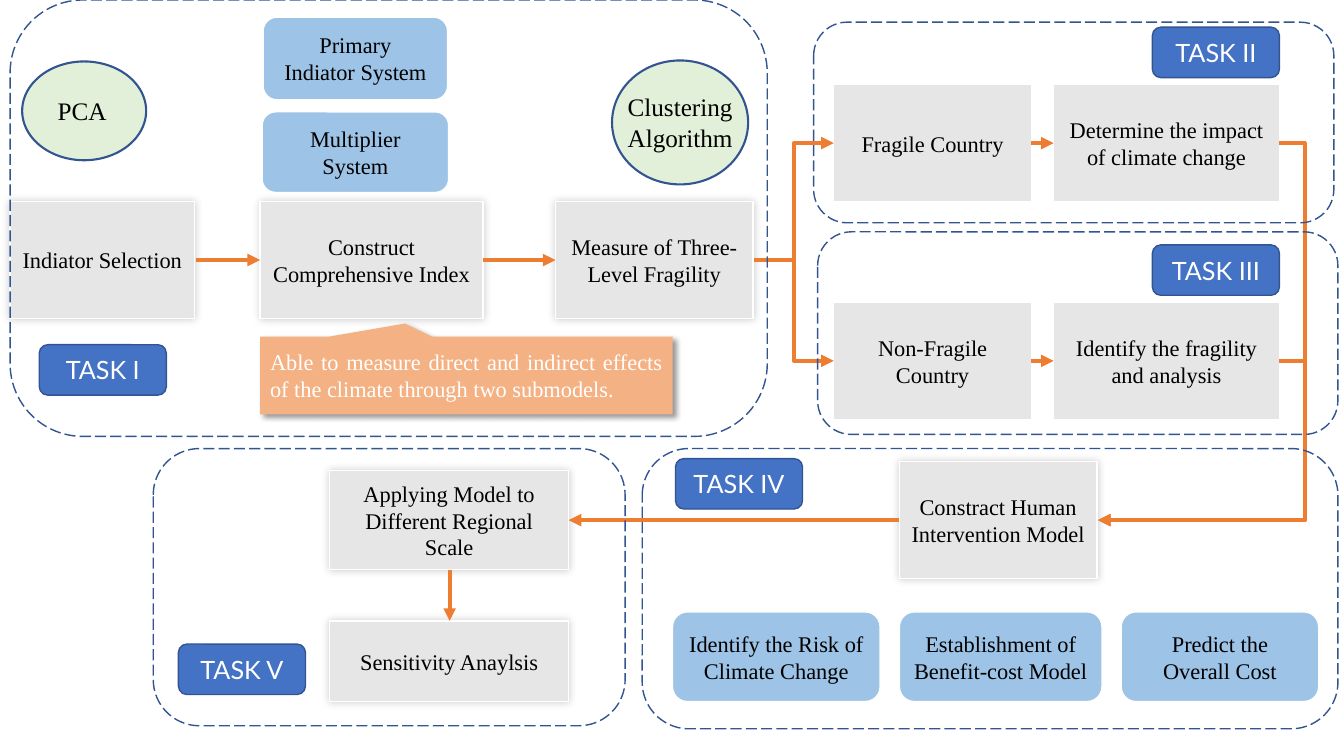
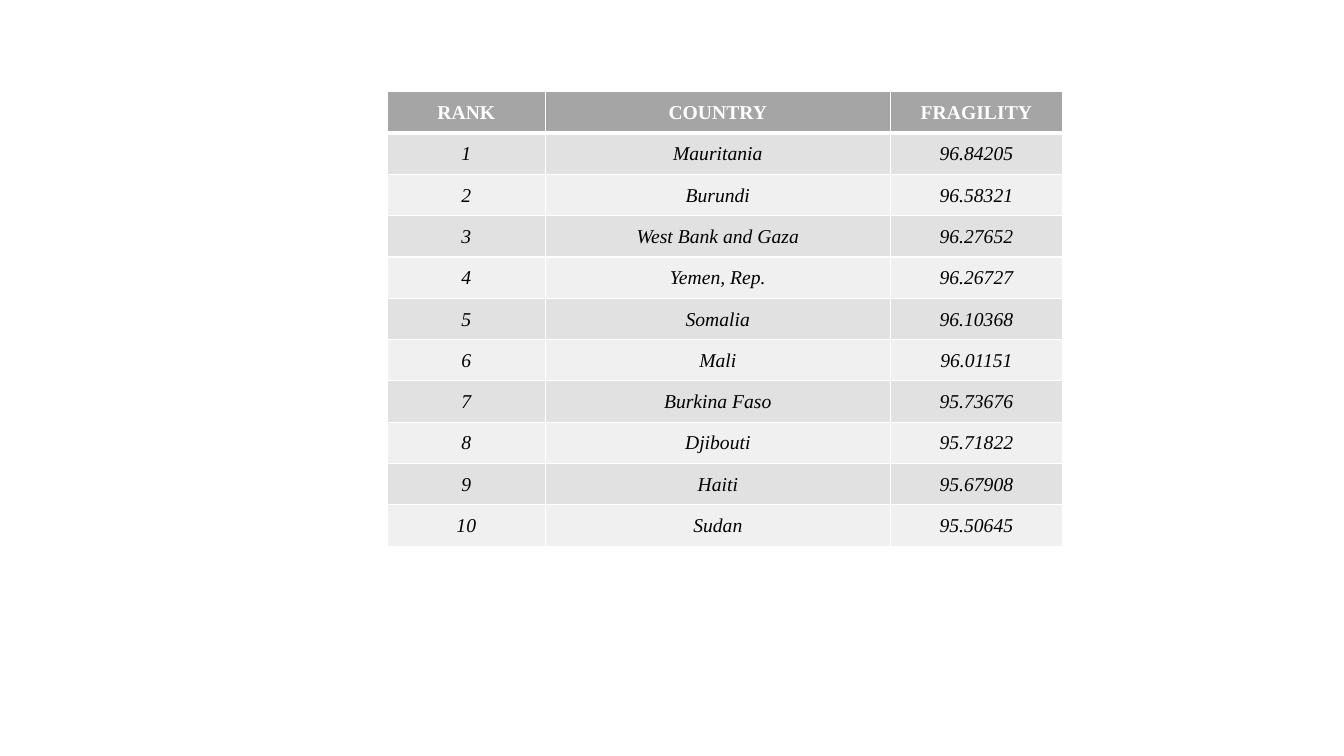
"""Build a five-task model flowchart and a country fragility ranking table."""
from dataclasses import dataclass

from lxml import etree
from pptx import Presentation
from pptx.dml.color import RGBColor
from pptx.enum.dml import MSO_LINE
from pptx.enum.shapes import MSO_CONNECTOR, MSO_SHAPE
from pptx.enum.text import MSO_ANCHOR, MSO_AUTO_SIZE, PP_ALIGN
from pptx.oxml.ns import qn
from pptx.util import Inches, Pt

RECT, ROUND = MSO_SHAPE.RECTANGLE, MSO_SHAPE.ROUNDED_RECTANGLE
OVAL, CALLOUT = MSO_SHAPE.OVAL, MSO_SHAPE.RECTANGULAR_CALLOUT
STRAIGHT, ELBOW = MSO_CONNECTOR.STRAIGHT, MSO_CONNECTOR.ELBOW
CENTER, JUSTIFY = PP_ALIGN.CENTER, PP_ALIGN.JUSTIFY
MIDDLE, GROW, LONG_DASH = MSO_ANCHOR.MIDDLE, MSO_AUTO_SIZE.SHAPE_TO_FIT_TEXT, MSO_LINE.LONG_DASH


@dataclass(frozen=True)
class Theme:
    white: str = "FFFFFF"
    black: str = "000000"
    gray: str = "E7E6E6"
    sky: str = "9DC3E6"
    green: str = "E2F0D9"
    blue: str = "4472C4"
    navy: str = "325491"
    orange: str = "ED7D31"
    peach: str = "F4B183"
    header: str = "A5A5A5"
    bands: tuple = ("F0F0F0", "E1E1E1")
    serif: str = "Times New Roman"
    sans: str = "Lato"
    table_size: int = 14
    body_size: int = 16
    label_size: int = 18


theme = Theme()
body_font = {"name": theme.serif, "size": Pt(theme.body_size)}
label_font = {"name": theme.serif, "size": Pt(theme.label_size)}
task_font = {"name": theme.sans, "size": Pt(theme.label_size)}
header_font = {"name": theme.serif, "size": Pt(theme.table_size), "bold": True, "italic": False}
cell_font = {**header_font, "bold": False, "italic": True}

plain = {"kind": RECT, "fill": theme.gray, "line": theme.white, "font": body_font}
styles = {
    "step": {**plain, "shadow": (20, 6, 0, 315)},
    "plain": plain,
    "part": {**plain, "kind": ROUND, "fill": theme.sky},
    "method": {"kind": OVAL, "fill": theme.green, "line": theme.navy, "width": 1.5},
    "frame": {"kind": ROUND, "line": theme.navy, "dash": LONG_DASH},
    "task": {"kind": ROUND, "fill": theme.blue, "line": theme.navy,
             "font": task_font, "color": theme.white},
    "callout": {"kind": CALLOUT, "fill": theme.peach, "font": body_font, "color": theme.white,
                "align": JUSTIFY, "shadow": (40, 4, 3, 45), "adjust": (-0.149, -0.669)},
}


def write_text(frame, text, font, color, align=CENTER):
    for index, words in enumerate(text.split("\n")):
        para = frame.add_paragraph() if index else frame.paragraphs[0]
        para.alignment = align
        span = para.add_run()
        span.text = words
        for name, value in font.items():
            setattr(span.font, name, value)
        span.font.color.rgb = RGBColor.from_string(color)


def add_block(page, style_name, at, text=""):
    style = styles[style_name]
    block = page.shapes.add_shape(style["kind"], *map(Inches, at))
    for index, value in enumerate(style.get("adjust", ())):
        block.adjustments[index] = value
    for target, color in ((block.fill, style.get("fill")), (block.line.fill, style.get("line"))):
        if color:
            target.solid()
            target.fore_color.rgb = RGBColor.from_string(color)
        else:
            target.background()
    block.line.width = Pt(style.get("width", 1))
    if "dash" in style:
        block.line.dash_style = style["dash"]
    block.shadow.inherit = False
    if "shadow" in style:
        alpha, blur, distance, angle = style["shadow"]
        effects = block._element.spPr.find(qn("a:effectLst"))
        shadow = etree.SubElement(effects, qn("a:outerShdw"), blurRad=str(Pt(blur)),
                                  dist=str(Pt(distance)), dir=str(angle * 60000),
                                  algn="ctr", rotWithShape="0")
        shade = etree.SubElement(shadow, qn("a:srgbClr"), val=theme.black)
        etree.SubElement(shade, qn("a:alpha"), val=str(alpha * 1000))
    if text:
        block.text_frame.word_wrap = True
        block.text_frame.vertical_anchor = MIDDLE
        write_text(block.text_frame, text, style["font"], style.get("color", theme.black),
                   style.get("align", CENTER))


deck = Presentation()
deck.slide_width, deck.slide_height = Inches(13.33), Inches(7.5)
blank = deck.slide_layouts[6]

page = deck.slides.add_slide(blank)
for style_name, at, text in (
    ("method", (6.07, 0.6, 1.35, 1.23), ""),
    ("method", (0.22, 0.61, 1.23, 0.98), ""),
    ("step", (0.1, 2, 1.83, 1.16), "Indiator Selection"),
    ("step", (2.58, 2, 2.21, 1.16), "Construct Comprehensive Index"),
    ("step", (5.51, 2, 1.96, 1.16), "Measure of Three-Level Fragility"),
    ("part", (2.61, 0.17, 1.83, 0.82), "Primary\nIndiator System"),
    ("part", (2.6, 1.11, 1.85, 0.8), "Multiplier System"),
    ("plain", (8.27, 0.84, 1.96, 1.16), "Fragile Country"),
    ("plain", (8.27, 3, 1.96, 1.16), "Non-Fragile Country"),
    ("plain", (10.45, 0.84, 2.24, 1.16), "Determine the impact of climate change"),
    ("plain", (10.45, 3, 2.24, 1.16), "Identify the fragility and analysis"),
    ("step", (8.92, 4.58, 1.96, 1.16), "Constract Human Intervention Model"),
    ("part", (6.67, 6.07, 2.06, 0.89), "Identify the Risk of Climate Change"),
    ("part", (8.92, 6.07, 2.01, 0.89), "Establishment of Benefit-cost Model"),
    ("part", (11.12, 6.07, 1.96, 0.89), "Predict the\nOverall Cost"),
    ("step", (3.27, 4.67, 2.37, 0.98), "Applying Model to Different Regional Scale"),
    ("step", (3.27, 6.16, 2.37, 0.8), "Sensitivity Anaylsis"),
):
    add_block(page, style_name, at, text)

for kind, ends, bend in (
    (STRAIGHT, (1.94, 2.58, 2.58, 2.58), None),
    (STRAIGHT, (4.79, 2.58, 5.51, 2.58), None),
    (ELBOW, (7.48, 2.58, 8.27, 1.42), 0.5),
    (ELBOW, (7.48, 2.58, 8.27, 3.58), 0.5),
    (ELBOW, (12.69, 1.42, 10.89, 5.16), -0.139),
    (ELBOW, (12.69, 3.58, 10.89, 5.16), -0.139),
    (STRAIGHT, (8.92, 5.16, 5.64, 5.16), None),
    (STRAIGHT, (4.46, 5.65, 4.46, 6.16), None),
    (STRAIGHT, (10.23, 1.42, 10.45, 1.42), None),
    (STRAIGHT, (10.23, 3.58, 10.45, 3.58), None),
):
    arrow = page.shapes.add_connector(kind, *map(Inches, ends))
    arrow.line.color.rgb = RGBColor.from_string(theme.orange)
    arrow.line.width = Pt(3)
    properties = arrow._element.spPr
    etree.SubElement(properties.find(qn("a:ln")), qn("a:tailEnd"), type="triangle")
    etree.SubElement(properties, qn("a:effectLst"))
    if bend is not None:
        guides = properties.find(qn("a:prstGeom")).find(qn("a:avLst"))
        etree.SubElement(guides, qn("a:gd"), name="adj1", fmla=f"val {round(bend * 100000)}")

for at, text in (
    ((0.47, 0.9, 0.69, 0.4), "PCA"),
    ((6.12, 0.86, 1.25, 0.71), "Clustering\nAlgorithm"),
):
    box = page.shapes.add_textbox(*map(Inches, at))
    box.text_frame.word_wrap = False
    box.text_frame.auto_size = GROW
    write_text(box.text_frame, text, label_font, theme.black)

for number, frame_at, label_at in (
    ("I", (0.1, 0, 7.51, 4.33), (0.39, 3.42)),
    ("II", (8.07, 0.22, 5.16, 1.99), (11.43, 0.27)),
    ("III", (8.11, 2.3, 5.16, 2.01), (11.43, 2.43)),
    ("IV", (6.37, 4.45, 6.9, 2.78), (6.7, 4.55)),
    ("V", (1.52, 4.45, 4.68, 2.75), (1.77, 6.39)),
):
    add_block(page, "frame", frame_at)
    add_block(page, "task", (*label_at, 1.26, 0.5), f"TASK {number}")

add_block(page, "callout", (2.58, 3.34, 4.09, 0.77),
          "Able to measure direct and indirect effects of the climate through two submodels.")

page = deck.slides.add_slide(blank)
countries = (
    ("Mauritania", "96.84205"), ("Burundi", "96.58321"), ("West Bank and Gaza", "96.27652"),
    ("Yemen, Rep.", "96.26727"), ("Somalia", "96.10368"), ("Mali", "96.01151"),
    ("Burkina Faso", "95.73676"), ("Djibouti", "95.71822"), ("Haiti", "95.67908"),
    ("Sudan", "95.50645"),
)
rows = [("RANK", "COUNTRY", "FRAGILITY")]
rows += [(str(rank), *entry) for rank, entry in enumerate(countries, 1)]
widths, row_height = (1.57, 3.42, 1.71), 0.41
table = page.shapes.add_table(len(rows), len(widths), Inches(3.84), Inches(0.91),
                              Inches(sum(widths)), Inches(row_height * len(rows))).table
for column, width in zip(table.columns, widths):
    column.width = Inches(width)
cell_format = {"margin_left": Inches(0.01), "margin_right": Inches(0.01),
               "margin_top": Inches(0.01), "margin_bottom": 0, "vertical_anchor": MIDDLE}
for row_index, row in enumerate(rows):
    table.rows[row_index].height = Inches(row_height)
    is_header = row_index == 0
    for column_index, text in enumerate(row):
        cell = table.cell(row_index, column_index)
        for name, value in cell_format.items():
            setattr(cell, name, value)
        for side in "LRTB":
            under_header = (row_index, side) in ((0, "B"), (1, "T"))
            border = etree.SubElement(cell._tc.get_or_add_tcPr(), qn(f"a:ln{side}"),
                                      w=str(Pt(3 if under_header else 1)))
            paint = etree.SubElement(border, qn("a:solidFill"))
            etree.SubElement(paint, qn("a:srgbClr"), val=theme.white)
        cell.fill.solid()
        cell.fill.fore_color.rgb = RGBColor.from_string(
            theme.header if is_header else theme.bands[row_index % 2])
        write_text(cell.text_frame, text, header_font if is_header else cell_font,
                   theme.white if is_header else theme.black)

deck.save("out.pptx")
